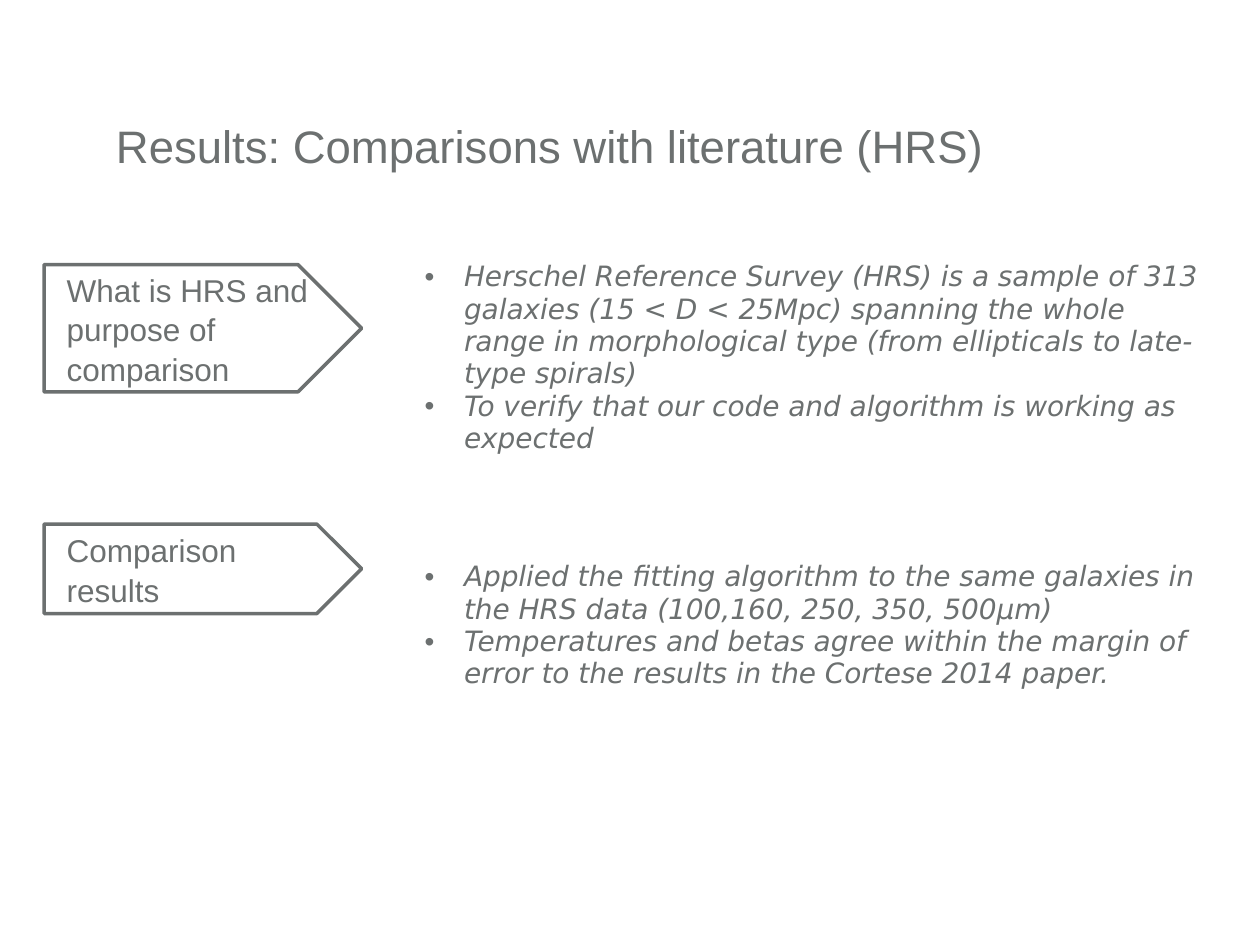
from lxml.etree import SubElement
from pptx import Presentation
from pptx.dml.color import RGBColor
from pptx.enum.shapes import MSO_SHAPE as Shape
from pptx.enum.text import MSO_ANCHOR as Anchor, MSO_AUTO_SIZE as Fit, PP_ALIGN as Align
from pptx.oxml.ns import qn
from pptx.util import Pt

GRAY = RGBColor(0x6C, 0x70, 0x70)
WHITE = RGBColor(0xFF, 0xFF, 0xFF)

TITLE = "Results: Comparisons with literature (HRS)"
TAGS = [
    ("What is HRS and purpose of comparison", 151.2, 72.72),
    ("Comparison results", 299.52, 51.12),
]
POINTS = [
    [
        "Herschel Reference Survey (HRS) is a sample of 313 galaxies (15 < D < 25Mpc) "
        "spanning the whole range in morphological type (from ellipticals to late-type spirals)",
        "To verify that our code and algorithm is working as expected",
    ],
    [
        "Applied the fitting algorithm to the same galaxies in the HRS data "
        "(100,160, 250, 350, 500μm)",
        "Temperatures and betas agree within the margin of error to the results "
        "in the Cortese 2014 paper.",
    ],
]


def write(frame, *lines, size=18, font="Arial", color=GRAY, italic=None,
          left=0, hang=0, bullet=None, pitch=None):
    for i, line in enumerate(lines):
        para = frame.add_paragraph() if i else frame.paragraphs[0]
        para.alignment = Align.LEFT
        para.line_spacing = pitch
        props = para._p.get_or_add_pPr()
        props.set("marL", str(Pt(left)))
        props.set("indent", str(Pt(-hang)))
        if bullet:
            SubElement(props, qn("a:buFont"), typeface="Arial")
            SubElement(props, qn("a:buChar"), char=bullet)
        run = para.add_run()
        run.text = line
        run.font.size = Pt(size)
        run.font.name = font
        run.font.italic = italic
        run.font.color.rgb = color


class Deck:
    """Holds the style and the current slide."""

    def __init__(self, slide, color=GRAY, fill=WHITE, line=2):
        self.slide, self.color, self.fill, self.line = slide, color, fill, line

    def title(self, text, x, y, w, h):
        frame = self.slide.shapes.add_textbox(Pt(x), Pt(y), Pt(w), Pt(h)).text_frame
        frame.word_wrap = True
        frame.vertical_anchor = Anchor.BOTTOM
        frame.margin_left = frame.margin_right = frame.margin_top = frame.margin_bottom = 0
        write(frame, text, size=26, color=self.color)

    def table(self, x, y, cols, rows, points, tops):
        frame = self.slide.shapes.add_table(
            len(rows), len(cols), Pt(x), Pt(y), Pt(sum(cols)), Pt(sum(rows)))
        table = frame.table
        table.first_row = table.horz_banding = False
        for col, width in zip(table.columns, cols):
            col.width = Pt(width)
        for row, height, lines, top in zip(table.rows, rows, points, tops):
            row.height = Pt(height)
            for cell in row.cells:
                cell.fill.background()
            body = row.cells[1]
            body.margin_top = Pt(top)
            write(body.text_frame, *lines, size=16, font="DejaVu Sans", color=self.color,
                  italic=True, left=22.5, hang=22.5, bullet="•")

    def tag(self, text, x, y, w, h):
        shape = self.slide.shapes.add_shape(Shape.PENTAGON, Pt(x), Pt(y), Pt(w), Pt(h))
        shape.shadow.inherit = False
        shape.fill.solid()
        shape.fill.fore_color.rgb = self.fill
        shape.line.color.rgb = self.color
        shape.line.width = Pt(self.line)
        frame = shape.text_frame
        frame.word_wrap = True
        frame.auto_size = Fit.SHAPE_TO_FIT_TEXT
        frame.vertical_anchor = Anchor.MIDDLE
        write(frame, text, color=self.color, left=5.76, pitch=1.05)


def main():
    show = Presentation()
    show.slide_width, show.slide_height = Pt(720), Pt(540)
    deck = Deck(show.slides.add_slide(show.slide_layouts[6]))
    deck.title(TITLE, 66.24, 48.24, 594, 50.4)
    deck.table(8.64, 145.44, [226.8, 465.12], [147.6, 160.56], POINTS, [3.6, 27.6])
    for text, y, h in TAGS:
        deck.tag(text, 25.2, y, 181.44, h)
    show.save("out.pptx")


if __name__ == "__main__":
    main()
